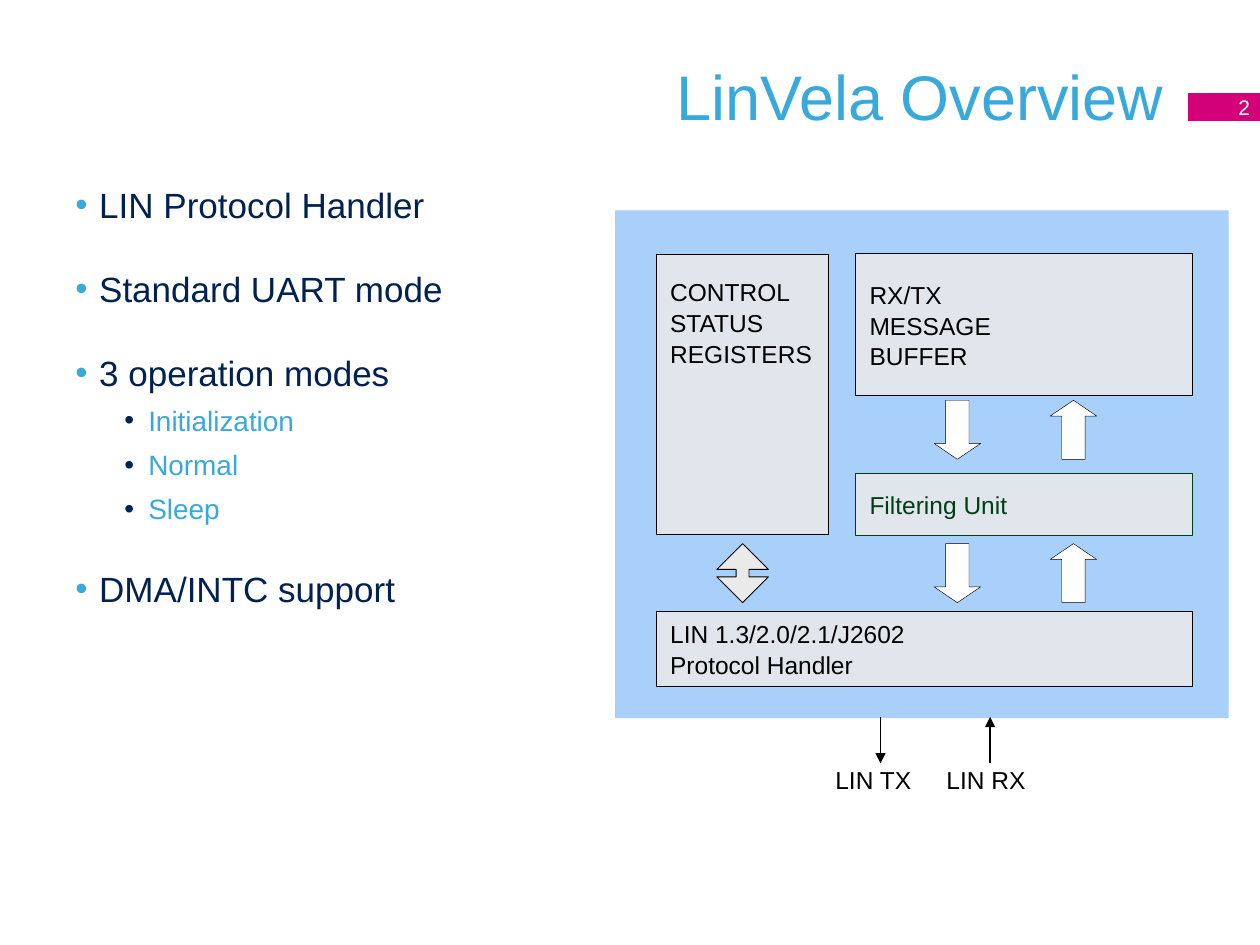
import pptx
import pptx.util
import pptx.dml.color
import pptx.enum.shapes
import pptx.enum.text
import pptx.oxml
import pptx.oxml.ns
from lxml import etree

Cm = pptx.util.Cm
Pt = pptx.util.Pt
SHAPE = pptx.enum.shapes.MSO_SHAPE
ALIGN = pptx.enum.text.PP_ALIGN
ANCHOR = pptx.enum.text.MSO_ANCHOR

BLUE, NAVY, BLACK, WHITE = "39A9DC", "002152", "000000", "FFFFFF"
GREY, GREEN, PINK, PANEL = "EAEAEA", "003D14", "D4007A", "7AB7FA"


def color(value):
    return pptx.dml.color.RGBColor.from_string(value)


def add_xml(parent, tag, **attributes):
    element = etree.SubElement(parent, pptx.oxml.ns.qn(tag))
    for name, value in attributes.items():
        element.set(name, str(value))
    return element


def write_text(paragraph, text, size=14, font_color=BLACK, align=ALIGN.LEFT,
               before=0, after=0, spacing=None):
    paragraph.text = text
    paragraph.alignment = align
    paragraph.space_before, paragraph.space_after = Pt(before), Pt(after)
    if spacing:
        paragraph.line_spacing = spacing
    for run in paragraph.runs:
        run.font.name = "Arial"
        run.font.size = Pt(size)
        run.font.color.rgb = color(font_color)


class SlideBuilder:
    margins = (0.28, 0.13, 0.28, 0.13)
    spacing = 1.05

    def __init__(self, slide):
        self.slide = slide

    def set_frame(self, frame, margins, anchor=ANCHOR.TOP, wrap=True):
        frame.margin_left, frame.margin_top, frame.margin_right, frame.margin_bottom = map(Cm, margins)
        frame.vertical_anchor = anchor
        frame.word_wrap = wrap

    def title(self, text, box):
        title = self.slide.shapes.title
        title.left, title.top, title.width, title.height = map(Cm, box)
        self.set_frame(title.text_frame, (0.25, 0.13, 0.25, 0.13), ANCHOR.MIDDLE)
        write_text(title.text_frame.paragraphs[0], text, size=36, font_color=BLUE, align=ALIGN.RIGHT)

    def bullets(self, items, box):
        frame = self.slide.shapes.add_textbox(*map(Cm, box)).text_frame
        self.set_frame(frame, (0.25, 0.13, 0.25, 0.13))
        for index, (level, text) in enumerate(items):
            paragraph = frame.paragraphs[0] if index == 0 else frame.add_paragraph()
            size, font_color, bullet_color, before, indent = (
                (16, BLUE, NAVY, 0, 1.47) if level else (20, NAVY, BLUE, 18, 0.48))
            write_text(paragraph, text, size=size, font_color=font_color,
                       before=before if index else 0, after=6)
            paragraph.level = level
            properties = paragraph._p.get_or_add_pPr()
            properties.set("marL", str(Cm(indent)))
            properties.set("indent", str(-Cm(0.48)))
            add_xml(add_xml(properties, "a:buClr"), "a:srgbClr", val=bullet_color)
            add_xml(properties, "a:buFont", typeface="Arial")
            add_xml(properties, "a:buChar", char="•")

    def shape(self, kind, box, fill, line=None, width=0.5, opacity=100, adjustments=()):
        shape = self.slide.shapes.add_shape(kind, *map(Cm, box))
        shape.shadow.inherit = False
        shape.fill.solid()
        shape.fill.fore_color.rgb = color(fill)
        if opacity < 100:
            fill_color = shape._element.spPr.find(".//" + pptx.oxml.ns.qn("a:srgbClr"))
            add_xml(fill_color, "a:alpha", val=opacity * 1000)
        if line:
            shape.line.color.rgb = color(line)
            shape.line.width = Pt(width)
        else:
            shape.line.fill.background()
        for index, value in enumerate(adjustments):
            shape.adjustments[index] = value
        return shape

    def block(self, text, box, ink=BLACK, anchor=ANCHOR.MIDDLE, margins=margins):
        frame = self.shape(SHAPE.RECTANGLE, box, GREY, line=ink, opacity=85).text_frame
        self.set_frame(frame, margins, anchor)
        write_text(frame.paragraphs[0], text, font_color=ink, spacing=self.spacing)

    def page_number(self, text, box):
        frame = self.shape(SHAPE.RECTANGLE, box, PINK).text_frame
        self.set_frame(frame, (0.2, 0, 0.2, 0), ANCHOR.MIDDLE)
        write_text(frame.paragraphs[0], text, size=12, font_color=WHITE, align=ALIGN.RIGHT)

    def label(self, text, box):
        frame = self.slide.shapes.add_textbox(*map(Cm, box)).text_frame
        self.set_frame(frame, self.margins, wrap=False)
        write_text(frame.paragraphs[0], text, spacing=self.spacing)

    def arrow(self, x, start, end):
        connector = self.slide.shapes.add_connector(
            pptx.enum.shapes.MSO_CONNECTOR.STRAIGHT, Cm(x), Cm(start), Cm(x), Cm(end))
        connector.line.color.rgb = color(BLACK)
        connector.line.width = Pt(1)
        add_xml(connector.line._get_or_add_ln(), "a:tailEnd", type="triangle")
        add_xml(connector._element.spPr, "a:effectLst")


def main():
    presentation = pptx.Presentation()
    presentation.slide_width, presentation.slide_height = Cm(25.4), Cm(19.05)
    builder = SlideBuilder(presentation.slides.add_slide(presentation.slide_layouts[5]))

    builder.title("LinVela Overview", (1.27, 0.33, 22.43, 3.18))
    builder.bullets([
        (0, "LIN Protocol Handler"),
        (0, "Standard UART mode"),
        (0, "3 operation modes"),
        (1, "Initialization"),
        (1, "Normal"),
        (1, "Sleep"),
        (0, "DMA/INTC support"),
    ], (1.27, 3.56, 10.59, 8.94))
    builder.page_number("2", (23.95, 1.88, 1.45, 0.56))

    builder.shape(SHAPE.RECTANGLE, (12.4, 4.24, 12.37, 10.24), PANEL, opacity=65)
    builder.arrow(17.75, 14.45, 15.39)
    builder.arrow(19.96, 15.39, 14.45)
    builder.label("LIN TX", (16.56, 15.27, 2.11, 0.86))
    builder.label("LIN RX", (18.8, 15.27, 2.16, 0.86))

    builder.block("RX/TX\vMESSAGE\vBUFFER", (17.25, 5.11, 6.8, 2.87))
    builder.block("Filtering Unit", (17.25, 9.55, 6.8, 1.24), ink=GREEN)
    builder.block("LIN 1.3/2.0/2.1/J2602\vProtocol Handler", (13.23, 12.32, 10.82, 1.52))
    builder.block("CONTROL\vSTATUS\vREGISTERS", (13.23, 5.13, 3.48, 5.64),
                  anchor=ANCHOR.TOP, margins=(0.28, 0.43, 0.2, 0.13))

    for top in (8.07, 10.96):
        for kind, left in ((SHAPE.DOWN_ARROW, 18.83), (SHAPE.UP_ARROW, 21.17)):
            builder.shape(kind, (left, top, 0.94, 1.19), WHITE, line=BLACK,
                          width=0.25, adjustments=(0.5, 0.34))
    builder.shape(SHAPE.UP_DOWN_ARROW, (14.45, 10.96, 1.04, 1.19), GREY, line=BLACK,
                  adjustments=(0.5, 0.25))

    presentation.save("out.pptx")


if __name__ == "__main__":
    main()
